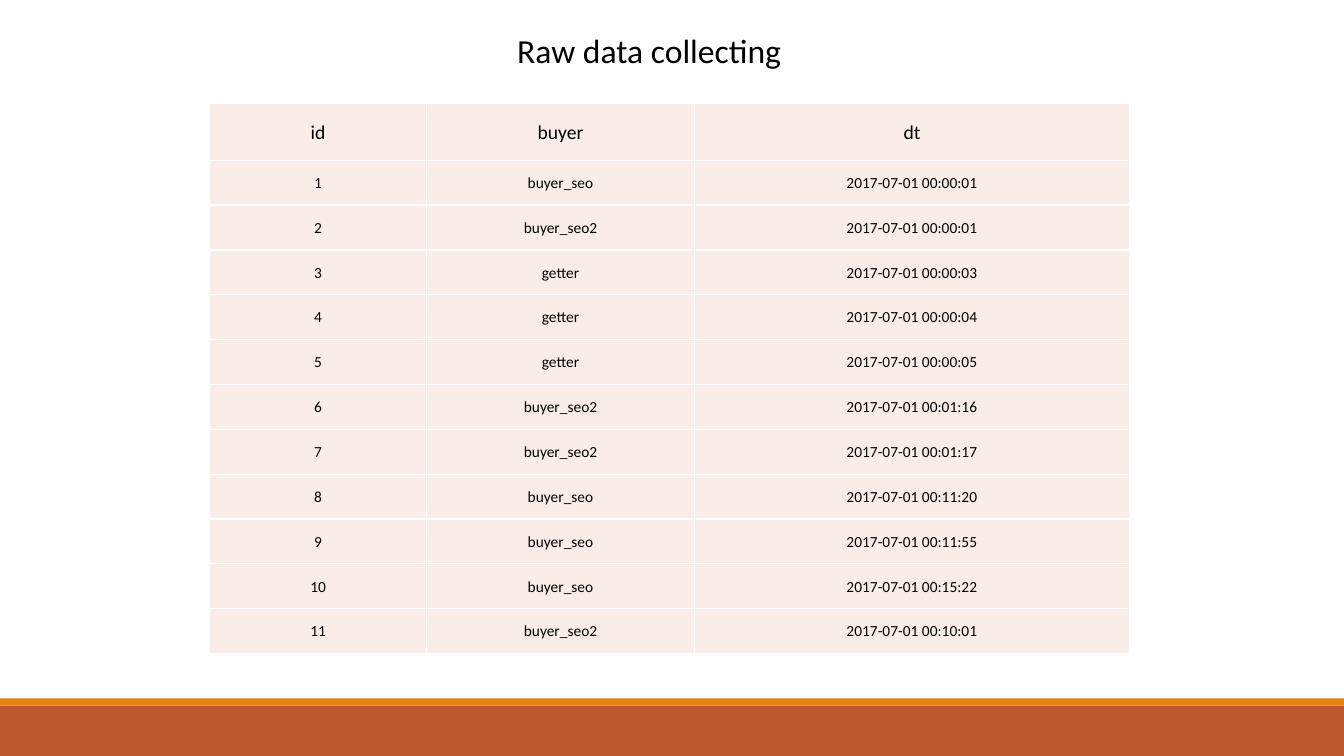
from pptx import Presentation
from pptx.dml.color import RGBColor
from pptx.enum.shapes import MSO_SHAPE as Shape
from pptx.enum.text import MSO_ANCHOR as Anchor, MSO_AUTO_SIZE as AutoSize, PP_ALIGN as Align
from pptx.oxml import parse_xml
from pptx.oxml.ns import nsdecls
from pptx.util import Inches, Pt

BLACK = RGBColor(0x00, 0x00, 0x00)
WHITE = RGBColor(0xFF, 0xFF, 0xFF)
RUST = RGBColor(0xBD, 0x58, 0x2C)
ORANGE = RGBColor(0xE4, 0x83, 0x12)
BLUSH = RGBColor(0xFA, 0xED, 0xE7)

COLUMN_WIDTHS = (2.15, 2.66, 4.31)
HEADER_HEIGHT, ROW_HEIGHT = 0.56, 0.445
HEADERS = ("id", "buyer", "dt")
PURCHASES = (
    ("buyer_seo", "00:00:01"),
    ("buyer_seo2", "00:00:01"),
    ("getter", "00:00:03"),
    ("getter", "00:00:04"),
    ("getter", "00:00:05"),
    ("buyer_seo2", "00:01:16"),
    ("buyer_seo2", "00:01:17"),
    ("buyer_seo", "00:11:20"),
    ("buyer_seo", "00:11:55"),
    ("buyer_seo", "00:15:22"),
    ("buyer_seo2", "00:10:01"),
)


def write_text(frame, text, size=11, color=BLACK, align=Align.CENTER):
    paragraph = frame.paragraphs[0]
    paragraph.alignment = align
    run = paragraph.add_run()
    run.text = text
    run.font.name = "Calibri"
    run.font.size = Pt(size)
    run.font.color.rgb = color


def add_bar(slide, top, height, color):
    bar = slide.shapes.add_shape(
        Shape.RECTANGLE, 0, Inches(top), Inches(13.33), Inches(height))
    bar.shadow.inherit = False
    bar.fill.solid()
    bar.fill.fore_color.rgb = color
    bar.line.fill.background()


def set_title(slide, text):
    title = slide.shapes.title
    title.left, title.top = Inches(5.03), Inches(0.25)
    title.width, title.height = Inches(2.84), Inches(0.5)
    frame = title.text_frame
    frame.word_wrap = False
    frame.auto_size = AutoSize.SHAPE_TO_FIT_TEXT
    frame.vertical_anchor = Anchor.TOP
    write_text(frame, text, size=24, align=Align.LEFT)


def format_cell(cell, text, size):
    cell.margin_left = cell.margin_right = cell.margin_top = Inches(0.01)
    cell.margin_bottom = 0
    cell.vertical_anchor = Anchor.MIDDLE
    write_text(cell.text_frame, text, size=size)
    # Borders come before the fill in the cell properties
    properties = cell._tc.get_or_add_tcPr()
    for side in ("lnL", "lnR", "lnT", "lnB"):
        properties.append(parse_xml(
            f'<a:{side} {nsdecls("a")} w="{Pt(1)}"><a:solidFill>'
            f'<a:srgbClr val="{WHITE}"/></a:solidFill></a:{side}>'))
    cell.fill.solid()
    cell.fill.fore_color.rgb = BLUSH


def add_data_table(slide, rows):
    height = HEADER_HEIGHT + ROW_HEIGHT * (len(rows) - 1)
    table = slide.shapes.add_table(
        len(rows), len(COLUMN_WIDTHS), Inches(2.08), Inches(1.03),
        Inches(sum(COLUMN_WIDTHS)), Inches(height)).table
    for column, width in zip(table.columns, COLUMN_WIDTHS):
        column.width = Inches(width)
    for row_index, values in enumerate(rows):
        is_header = row_index == 0
        table.rows[row_index].height = Inches(HEADER_HEIGHT if is_header else ROW_HEIGHT)
        for column_index, value in enumerate(values):
            format_cell(table.cell(row_index, column_index), value, 14 if is_header else 11)


def main():
    presentation = Presentation()
    presentation.slide_width = Inches(13.33)
    presentation.slide_height = Inches(7.5)
    slide = presentation.slides.add_slide(presentation.slide_layouts[5])

    # Footer bars
    add_bar(slide, 7, 0.5, RUST)
    add_bar(slide, 6.93, 0.07, ORANGE)

    # Title and purchase log
    set_title(slide, "Raw data collecting")
    rows = [HEADERS] + [
        (str(number), buyer, f"2017-07-01 {time}")
        for number, (buyer, time) in enumerate(PURCHASES, start=1)]
    add_data_table(slide, rows)

    presentation.save("out.pptx")


if __name__ == "__main__":
    main()
